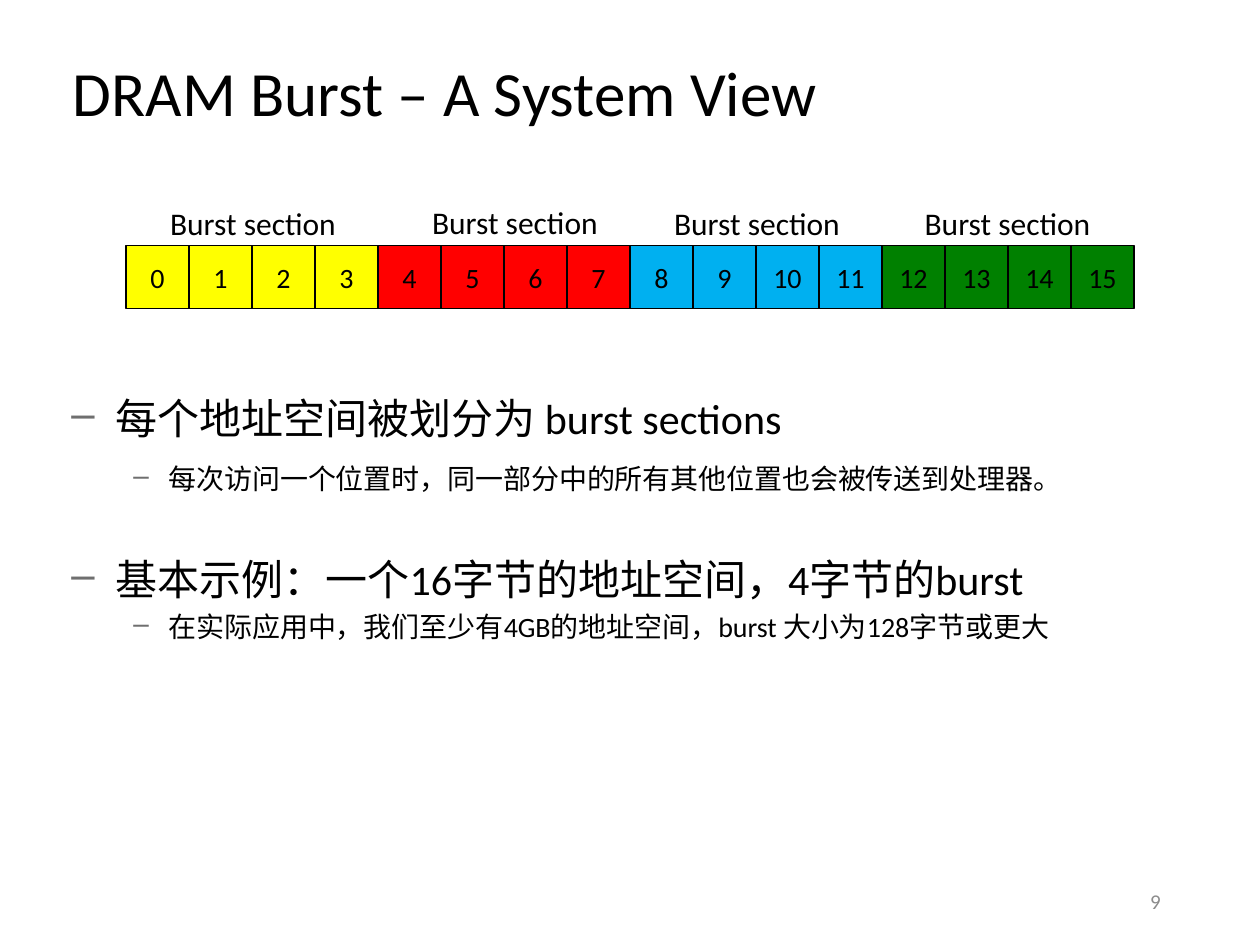
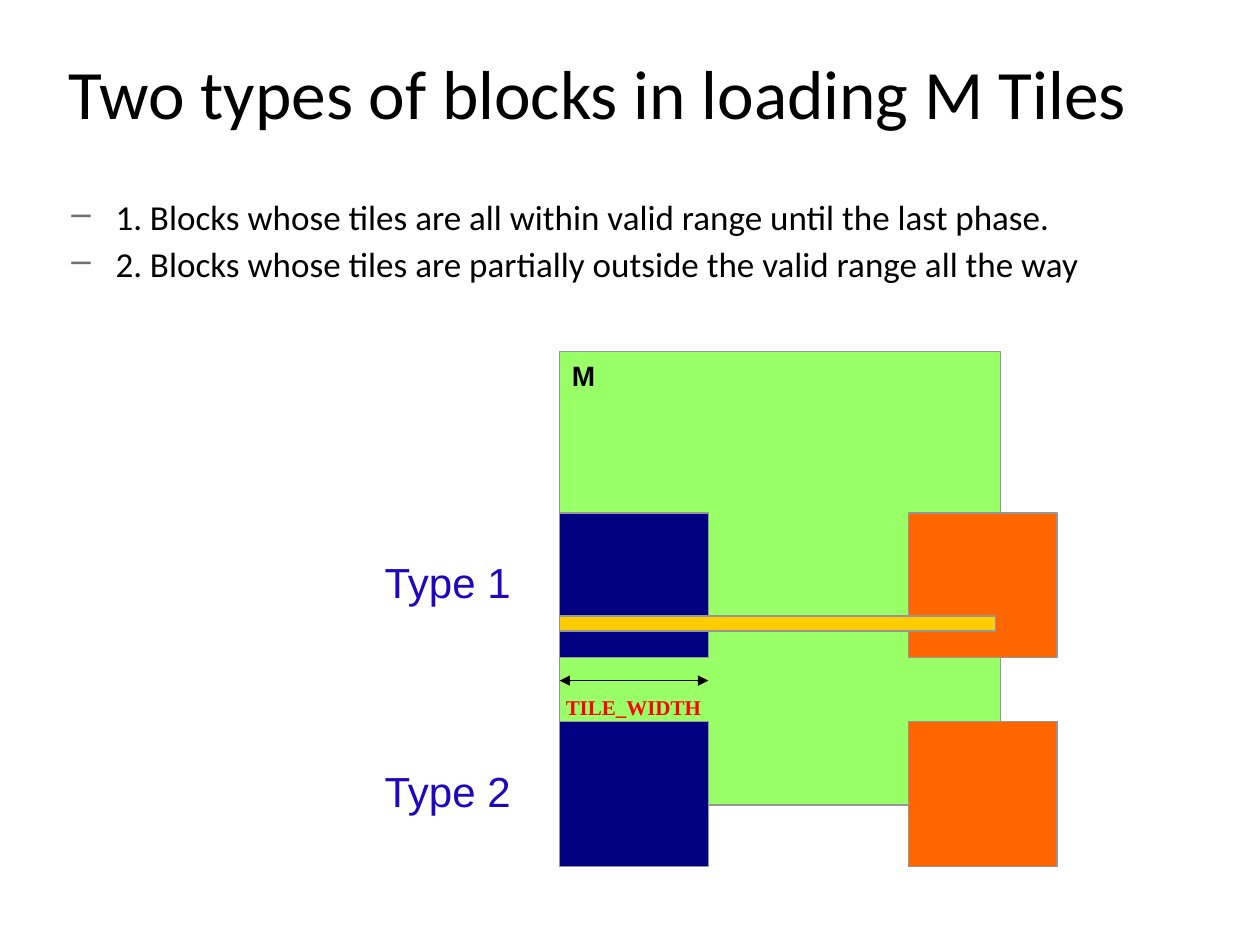
from lxml import etree
from pptx import Presentation
from pptx.dml.color import RGBColor
from pptx.enum.shapes import MSO_CONNECTOR, MSO_SHAPE
from pptx.enum.text import MSO_ANCHOR, MSO_AUTO_SIZE, PP_ALIGN
from pptx.oxml.ns import qn
from pptx.util import Cm, Pt

LEFT, CENTER, RIGHT = PP_ALIGN.LEFT, PP_ALIGN.CENTER, PP_ALIGN.RIGHT
TOP, MIDDLE = MSO_ANCHOR.TOP, MSO_ANCHOR.MIDDLE
RECTANGLE = MSO_SHAPE.RECTANGLE
STRAIGHT = MSO_CONNECTOR.STRAIGHT
NO_AUTOFIT = MSO_AUTO_SIZE.NONE

# Shared look
TITLE_ONLY = 5
FONT = "Calibri"
BLACK, GREY, BULLET_GREY, TILE_EDGE = "000000", "8C8C8C", "6F6F6F", "969696"
NAVY, ORANGE, LIME, GOLD = "000080", "FF6600", "99FF66", "FFCC00"
RED, VIOLET = "FF0000", "1D07BF"
SECTION_COLORS = ["FFFF00", RED, "00B0F0", "008000"]
LINE_SPACING = 0.9
# Text left and hanging indent in cm for each bullet level
BULLET_INDENTS = [(0.89, 0.89), (1.96, 0.71)]


def color(hex_string):
    return RGBColor.from_string(hex_string)


def write_text(paragraph, text, size=16, font=FONT, fill=BLACK, bold=False,
               align=LEFT, spacing=None):
    paragraph.alignment = align
    if spacing:
        paragraph.line_spacing = spacing
    run = paragraph.add_run()
    run.text = text
    run.font.size = Pt(size)
    run.font.name = font
    run.font.bold = bold
    run.font.color.rgb = color(fill)


def prepare_frame(shape, anchor=TOP, wrap=True, inset=(0.25, 0.13)):
    frame = shape.text_frame
    frame.auto_size = NO_AUTOFIT
    frame.word_wrap = wrap
    frame.vertical_anchor = anchor
    frame.margin_left = frame.margin_right = Cm(inset[0])
    frame.margin_top = frame.margin_bottom = Cm(inset[1])
    return frame


def add_titled_slide(presentation, text, size, height, inset=(0.25, 0.13)):
    slide = presentation.slides.add_slide(presentation.slide_layouts[TITLE_ONLY])
    title = slide.shapes.title
    title.left, title.top = Cm(1.14), Cm(1.07)
    title.width, title.height = Cm(23.09), Cm(height)
    frame = prepare_frame(title, inset=inset)
    write_text(frame.paragraphs[0], text, size=size, spacing=LINE_SPACING)
    return slide


def add_label(slide, text, left, top, width, height, anchor=TOP, wrap=False,
              inset=(0.25, 0.13), **text_format):
    box = slide.shapes.add_textbox(Cm(left), Cm(top), Cm(width), Cm(height))
    frame = prepare_frame(box, anchor, wrap, inset)
    write_text(frame.paragraphs[0], text, **text_format)


def add_rectangle(slide, left, top, width, height, fill, edge=TILE_EDGE):
    rectangle = slide.shapes.add_shape(
        RECTANGLE, Cm(left), Cm(top), Cm(width), Cm(height))
    rectangle.shadow.inherit = False
    rectangle.fill.solid()
    rectangle.fill.fore_color.rgb = color(fill)
    rectangle.line.color.rgb = color(edge)
    rectangle.line.width = Pt(0.75)
    return rectangle


def add_double_arrow(slide, start, end, y):
    arrow = slide.shapes.add_connector(STRAIGHT, Cm(start), Cm(y), Cm(end), Cm(y))
    arrow.line.color.rgb = color(BLACK)
    arrow.line.width = Pt(0.5)
    line = arrow.line._get_or_add_ln()
    for tag in ("a:headEnd", "a:tailEnd"):
        etree.SubElement(line, qn(tag), type="triangle")
    etree.SubElement(arrow._element.spPr, qn("a:effectLst"))


def add_dash_bullet(paragraph, level):
    paragraph.level = level
    text_left, hanging = BULLET_INDENTS[level]
    properties = paragraph._p.get_or_add_pPr()
    properties.set("marL", str(Cm(text_left)))
    properties.set("indent", str(-Cm(hanging)))
    bullet_color = etree.SubElement(properties, qn("a:buClr"))
    etree.SubElement(bullet_color, qn("a:srgbClr"), val=BULLET_GREY)
    etree.SubElement(properties, qn("a:buChar"), char="–")


def add_bullets(slide, top, height, items):
    """Each item is (text, size, level, space before in points)."""
    box = slide.shapes.add_textbox(Cm(1.19), Cm(top), Cm(23.04), Cm(height))
    frame = prepare_frame(box)
    for index, (text, size, level, space_before) in enumerate(items):
        paragraph = frame.add_paragraph() if index else frame.paragraphs[0]
        write_text(paragraph, text, size=size, spacing=LINE_SPACING)
        paragraph.space_before = Pt(space_before)
        paragraph.space_after = Pt(2.5)
        add_dash_bullet(paragraph, level)


def build_burst_slide(presentation):
    slide = add_titled_slide(presentation, "DRAM Burst – A System View",
                             size=36, height=1.73, inset=(0.33, 0.18))
    add_bullets(slide, 7.9, 8.94, [
        ("每个地址空间被划分为 burst sections", 24, 0, 2.5),
        ("每次访问一个位置时，同一部分中的所有其他位置也会被传送到处理器。", 16, 1, 10),
        ("基本示例：一个16字节的地址空间，4字节的burst", 24, 0, 34),
        ("在实际应用中，我们至少有4GB的地址空间，burst 大小为128字节或更大", 16, 1, 2.5),
    ])
    add_label(slide, "9", 17.93, 17.65, 5.72, 1.02, anchor=MIDDLE, wrap=True,
              size=12, fill=GREY, align=RIGHT)

    # Address space: 16 cells in four coloured sections
    cell_size = 1.27
    for address in range(16):
        cell = add_rectangle(slide, 2.54 + address * cell_size, 4.95, cell_size,
                             cell_size, SECTION_COLORS[address // 4], edge=BLACK)
        frame = prepare_frame(cell, MIDDLE, wrap=False)
        write_text(frame.paragraphs[0], str(address), align=CENTER)

    # Section captions
    for left, top in [(3.18, 3.99), (8.46, 3.96), (13.34, 3.99), (18.39, 3.99)]:
        add_label(slide, "Burst section", left, top, 4.04, 1.02, size=18)


def build_tiles_slide(presentation):
    slide = add_titled_slide(presentation, "Two types of blocks in loading M Tiles",
                             size=39.6, height=1.96)
    add_bullets(slide, 3.91, 14, [
        ("1. Blocks whose tiles are all within valid range until the last phase.",
         20, 0, 2.5),
        ("2. Blocks whose tiles are partially outside the valid range all the way",
         20, 0, 2.5),
    ])

    # Matrix M with the tile width marked
    matrix_left, tile_width, tile_height = 11.28, 3, 2.92
    matrix = add_rectangle(slide, matrix_left, 7.09, 8.89, 9.14, LIME)
    write_text(prepare_frame(matrix).paragraphs[0], "M", font="Arial", bold=True)
    add_double_arrow(slide, matrix_left, matrix_left + tile_width, 13.72)
    add_label(slide, "TILE_WIDTH", 11.4, 14, 2.74, 0.51, inset=(0, 0), size=12,
              font="Times New Roman", fill=RED, bold=True, align=CENTER)

    # First and last tile of each block type
    label_height = 1.17
    for name, top in [("Type 1", 10.34), ("Type 2", 14.55)]:
        for left, fill in [(18.31, ORANGE), (matrix_left, NAVY)]:
            add_rectangle(slide, left, top, tile_width, tile_height, fill)
        add_label(slide, name, 7.49, top + (tile_height - label_height) / 2, 3.07,
                  label_height, anchor=MIDDLE, size=24, font="Arial", fill=VIOLET,
                  align=CENTER, spacing=LINE_SPACING)

    # Matrix row that crosses the type 1 tiles
    add_rectangle(slide, matrix_left, 12.42, 8.79, 0.3, GOLD)


def main():
    presentation = Presentation()
    presentation.slide_width, presentation.slide_height = Cm(25.4), Cm(19.05)
    build_burst_slide(presentation)
    build_tiles_slide(presentation)
    presentation.save("out.pptx")


if __name__ == "__main__":
    main()
